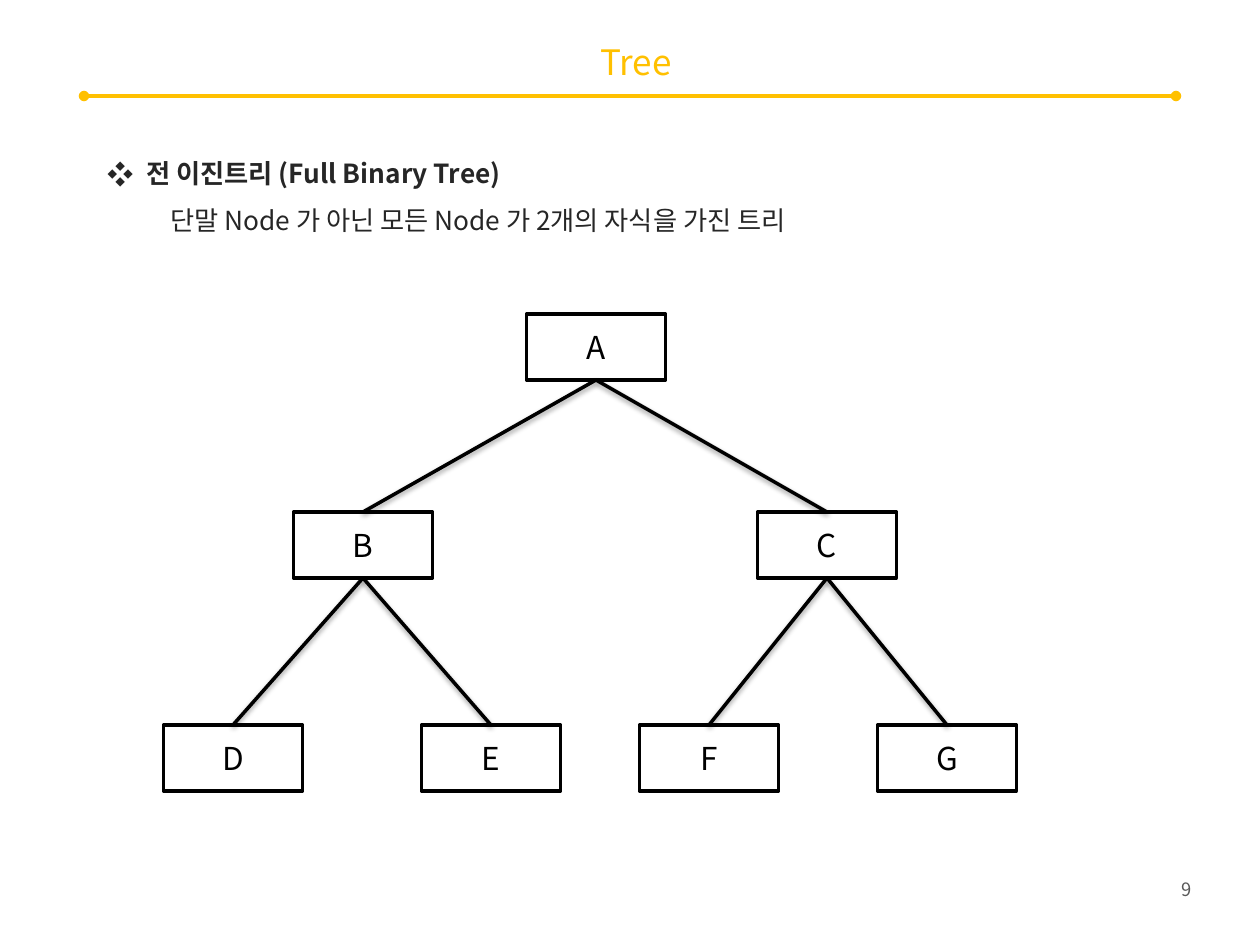
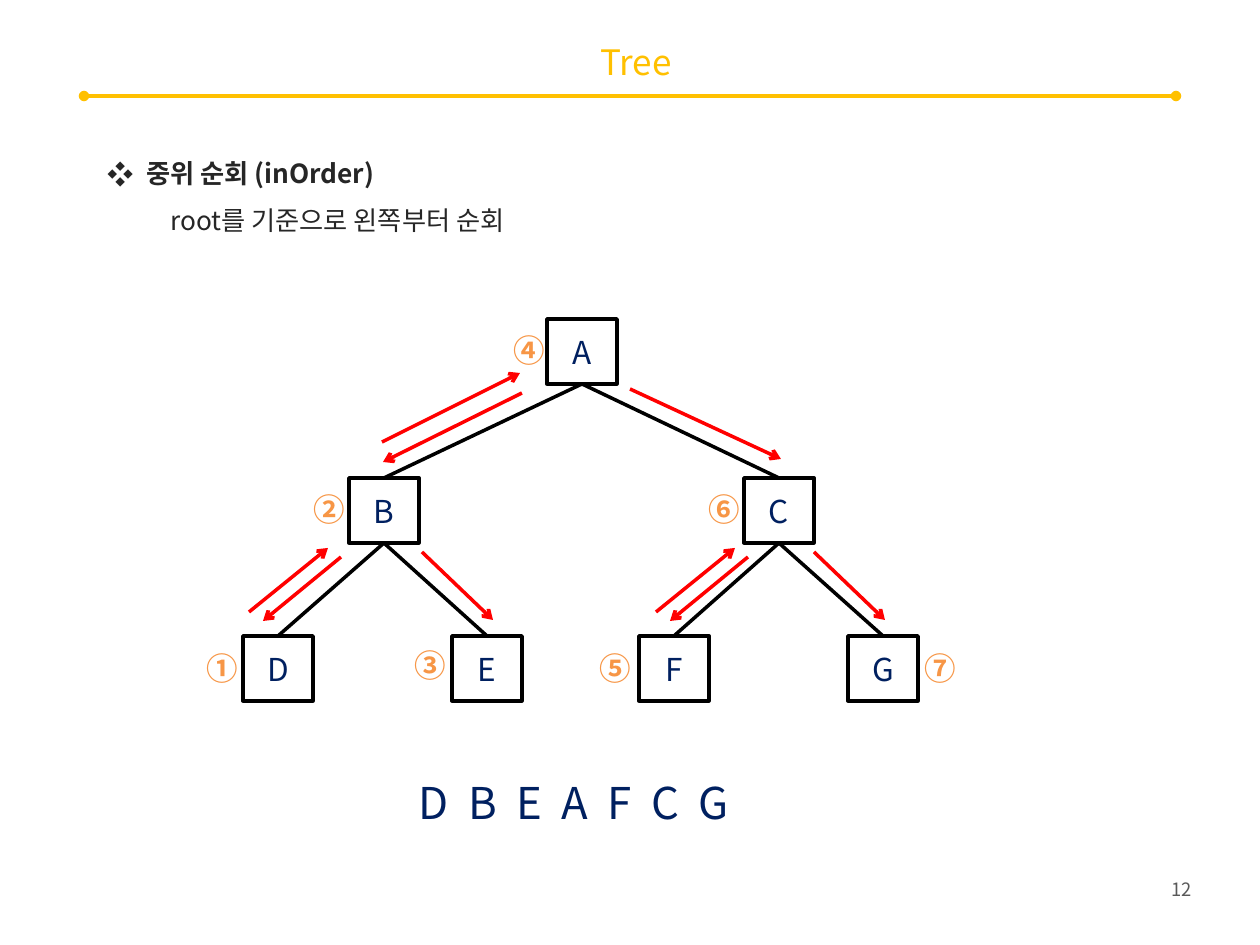
from dataclasses import dataclass

from lxml import etree
from pptx import Presentation
from pptx import util as u
from pptx.dml.color import RGBColor
from pptx.enum import shapes, text
from pptx.oxml import ns

FULL_TREE = {
    "number": "9",
    "heading": "전 이진트리 (Full Binary Tree)",
    "detail": "단말 Node 가 아닌 모든 Node 가 2개의 자식을 가진 트리",
    "centres": [596, 363, 827, 233, 491, 709, 947],
    "tops": [314, 512, 725],
    "node_size": (139, 66),
    "ink": "000000",
    "shadow": True,
}
IN_ORDER = {
    "number": "12",
    "heading": "중위 순회 (inOrder)",
    "detail": "root를 기준으로 왼쪽부터 순회",
    "centres": [582, 384, 779, 278, 487, 674, 883],
    "tops": [319, 478, 636],
    "node_size": (70, 65),
    "ink": "002060",
    "shadow": False,
}
NODE_NAMES = "ABCDEFG"
VISIT_ORDER = "D B E A F C G"
VISIT_MARKS = [
    ("①", 194, 643), ("②", 301, 484), ("③", 402, 640), ("④", 501, 325),
    ("⑤", 587, 643), ("⑥", 696, 484), ("⑦", 912, 643),
]
ROOT_MOVES = [
    (522, 393, 383, 462),
    (382, 442, 520, 373),
    (630, 389, 781, 459),
]
LEAF_MOVES = [
    ((341, 557, 263, 621), 407),
    ((249, 612, 328, 548), 407),
    ((422, 552, 493, 620), 392),
]


@dataclass(frozen=True)
class Theme:
    font: str = "Noto Sans CJK KR"
    accent: str = "FFC000"
    body: str = "262626"
    muted: str = "595959"
    black: str = "000000"
    white: str = "FFFFFF"
    navy: str = "002060"
    move: str = "FF0000"
    mark: str = "F79646"
    title_size: float = 20
    body_size: float = 15
    node_size: float = 18
    order_size: float = 25
    number_size: float = 10.5
    line_width: float = 2


THEME = Theme()
ALIGN = text.PP_ALIGN


def px(length):
    return round(length * u.Inches(1) / 126)


def add_xml(parent, tag, **attributes):
    child = etree.SubElement(parent, ns.qn(tag))
    for name, value in attributes.items():
        child.set(name, str(value))
    return child


def write(para, words, size, color, bold=False, align=None, spacing=None, tracking=None):
    para.alignment = align
    para.line_spacing = spacing
    span = para.add_run()
    span.text = words
    span.font.size = u.Pt(size)
    span.font.name = THEME.font
    span.font.bold = bold
    span.font.color.rgb = RGBColor.from_string(color)
    properties = span.font._element
    add_xml(properties, "a:ea", typeface=THEME.font)
    if tracking:
        properties.set("spc", str(tracking))


def add_text(page, place, words, wrap=True, anchor=text.MSO_ANCHOR.TOP, **style):
    box = page.shapes.add_textbox(*map(px, place))
    frame = box.text_frame
    frame.word_wrap = wrap
    frame.vertical_anchor = anchor
    if not wrap:
        frame.auto_size = text.MSO_AUTO_SIZE.SHAPE_TO_FIT_TEXT
    write(frame.paragraphs[0], words, **style)
    return frame


def add_line(page, ends, color, head=None, tail=None, shadow=False):
    line = page.shapes.add_connector(shapes.MSO_CONNECTOR.STRAIGHT, *map(px, ends))
    line.line.color.rgb = RGBColor.from_string(color)
    line.line.width = u.Pt(THEME.line_width)
    outline = line.line._get_or_add_ln()
    for tag, kind in (("a:headEnd", head), ("a:tailEnd", tail)):
        if kind:
            add_xml(outline, tag, type=kind)
    effects = add_xml(line._element.spPr, "a:effectLst")
    if shadow:
        cast = add_xml(effects, "a:outerShdw", blurRad=u.Pt(3.1), dist=u.Pt(1.6),
                       dir=90 * 60000, rotWithShape=0)
        shade = add_xml(cast, "a:srgbClr", val=THEME.black)
        add_xml(shade, "a:alpha", val=38000)
    return line


def indent(para, left, hanging=0, bullet=None):
    properties = para._p.get_or_add_pPr()
    properties.set("marL", str(px(left)))
    properties.set("indent", str(-px(hanging)))
    if bullet:
        add_xml(properties, "a:buFont", typeface=THEME.font)
        add_xml(properties, "a:buChar", char=bullet)
    else:
        add_xml(properties, "a:buNone")


def add_page(deck, content):
    page = deck.slides.add_slide(deck.slide_layouts[6])
    add_line(page, (84, 96, 1176, 96), THEME.accent, head="oval", tail="oval")
    add_text(page, (1130, 872, 74, 37), content["number"], wrap=False,
             size=THEME.number_size, color=THEME.muted, align=ALIGN.RIGHT)
    add_text(page, (105, 38, 1062, 48), "Tree", anchor=text.MSO_ANCHOR.MIDDLE,
             size=THEME.title_size, color=THEME.accent, align=ALIGN.CENTER)
    body = dict(size=THEME.body_size, color=THEME.body, spacing=1.5)
    frame = add_text(page, (95, 135, 1061, 110), content["heading"], bold=True, **body)
    indent(frame.paragraphs[0], 39, hanging=39, bullet="❖")
    detail = frame.add_paragraph()
    detail.level = 1
    write(detail, content["detail"], **body)
    indent(detail, 63)
    return page


def add_node(page, name, centre, top, size, ink):
    width, height = size
    box = page.shapes.add_shape(shapes.MSO_SHAPE.RECTANGLE, px(centre - width / 2),
                                px(top), px(width), px(height))
    box.shadow.inherit = False
    box.fill.solid()
    box.fill.fore_color.rgb = RGBColor.from_string(THEME.white)
    box.line.color.rgb = RGBColor.from_string(THEME.black)
    box.line.width = u.Pt(THEME.line_width)
    box.text_frame.vertical_anchor = text.MSO_ANCHOR.MIDDLE
    write(box.text_frame.paragraphs[0], name, THEME.node_size, ink, align=ALIGN.CENTER)
    return box


def add_tree(page, content):
    nodes = []
    for index, (name, centre) in enumerate(zip(NODE_NAMES, content["centres"])):
        level = (index + 1).bit_length() - 1
        nodes.append(add_node(page, name, centre, content["tops"][level],
                              content["node_size"], content["ink"]))
    for index, child in enumerate(nodes[1:]):
        branch = add_line(page, (0, 0, 0, 0), THEME.black, shadow=content["shadow"])
        branch.begin_connect(nodes[index // 2], 2)
        branch.end_connect(child, 0)


def add_traversal(page):
    moves = list(ROOT_MOVES)
    for (x1, y1, x2, y2), shift in LEAF_MOVES:
        moves += [(x1, y1, x2, y2), (x1 + shift, y1, x2 + shift, y2)]
    for move in moves:
        add_line(page, move, THEME.move, tail="arrow")
    for mark, left, top in VISIT_MARKS:
        add_text(page, (left, top, 57, 50), mark, wrap=False,
                 size=THEME.node_size, color=THEME.mark, bold=True)
    add_text(page, (373, 770, 402, 66), VISIT_ORDER, wrap=False, size=THEME.order_size,
             color=THEME.navy, align=ALIGN.CENTER, tracking=280)


def main():
    deck = Presentation()
    deck.slide_width, deck.slide_height = px(1260), px(945)
    add_tree(add_page(deck, FULL_TREE), FULL_TREE)
    traversal = add_page(deck, IN_ORDER)
    add_tree(traversal, IN_ORDER)
    add_traversal(traversal)
    deck.save("out.pptx")


if __name__ == "__main__":
    main()
